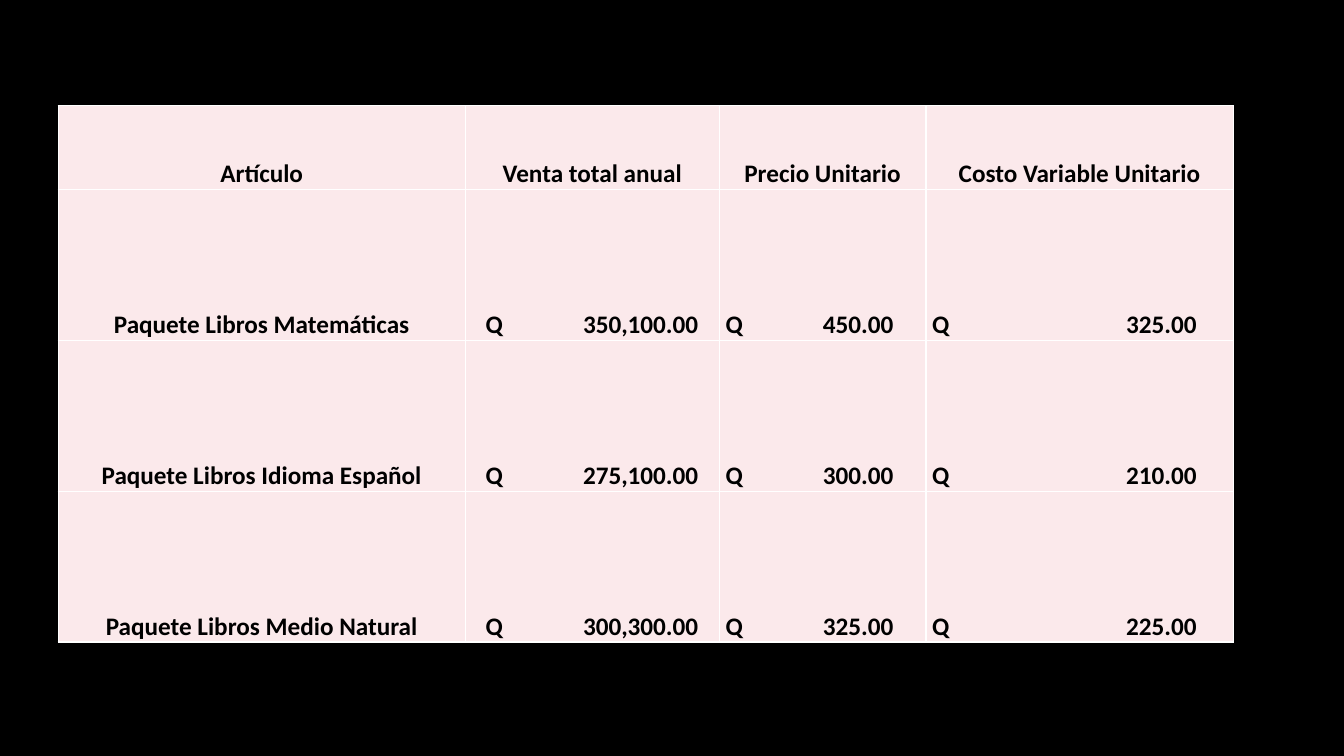
"""Build a slide with a price and cost table for three book packages."""
from lxml.etree import SubElement
from pptx import Presentation
from pptx.dml.color import RGBColor
from pptx.enum.text import MSO_ANCHOR as Anchor, PP_ALIGN as Align
from pptx.oxml.ns import qn
from pptx.util import Pt

BLACK = RGBColor(0x00, 0x00, 0x00)
WHITE = RGBColor(0xFF, 0xFF, 0xFF)
PINK = RGBColor(0xFB, 0xE9, 0xEB)

HEADINGS = ["Artículo", "Venta total anual", "Precio Unitario", "Costo Variable Unitario"]
PACKAGES = [
    ("Paquete Libros Matemáticas", 350100, 450, 325),
    ("Paquete Libros Idioma Español", 275100, 300, 210),
    ("Paquete Libros Medio Natural", 300300, 325, 225),
]
COLUMN_WIDTHS = [290.9, 181.4, 147.6, 219.6]
HEADING_HEIGHT, PACKAGE_HEIGHT = 59.8, 107.8
INSET = 0.72
AMOUNT_INDENTS = [14.5, 4.5, 4.5]
AMOUNT_TABS = [152, 120, 189]


class Slide:
    """Hold the text style and the current slide."""

    def __init__(self, deck, font="Calibri", size=18):
        self.font, self.size = font, size
        self.slide = deck.slides.add_slide(deck.slide_layouts[6])
        background = self.slide.background.fill
        background.solid()
        background.fore_color.rgb = BLACK

    def table(self, left, top, widths, heights):
        frame = self.slide.shapes.add_table(
            len(heights), len(widths), Pt(left), Pt(top), Pt(sum(widths)), Pt(sum(heights)))
        for column, width in zip(frame.table.columns, widths):
            column.width = Pt(width)
        for row, height in zip(frame.table.rows, heights):
            row.height = Pt(height)
        return frame.table

    def borders(self, cell):
        properties = cell._tc.get_or_add_tcPr()
        for position, side in enumerate(("lnL", "lnR", "lnT", "lnB")):
            line = properties.makeelement(qn(f"a:{side}"), {"w": str(Pt(1))})
            SubElement(SubElement(line, qn("a:solidFill")), qn("a:srgbClr"), val=str(WHITE))
            properties.insert(position, line)

    def cell(self, cell, text, indent=INSET, tab=None):
        cell.fill.solid()
        cell.fill.fore_color.rgb = PINK
        self.borders(cell)
        cell.vertical_anchor = Anchor.BOTTOM
        cell.margin_left = Pt(indent)
        cell.margin_top = cell.margin_right = Pt(INSET)
        cell.margin_bottom = 0
        cell.text_frame.text = text
        paragraph = cell.text_frame.paragraphs[0]
        paragraph.alignment = Align.LEFT if tab else Align.CENTER
        if tab:
            stops = SubElement(paragraph._p.get_or_add_pPr(), qn("a:tabLst"))
            SubElement(stops, qn("a:tab"), pos=str(Pt(tab)), algn="r")
        for run in paragraph.runs:
            run.font.name, run.font.size = self.font, Pt(self.size)
            run.font.bold = True
            run.font.color.rgb = BLACK


def main():
    deck = Presentation()
    deck.slide_width, deck.slide_height = Pt(960), Pt(540)
    slide = Slide(deck)
    heights = [HEADING_HEIGHT] + [PACKAGE_HEIGHT] * len(PACKAGES)
    prices = slide.table(41.5, 75.5, COLUMN_WIDTHS, heights)
    for column, heading in enumerate(HEADINGS):
        slide.cell(prices.cell(0, column), heading)
    for row, (package, *amounts) in enumerate(PACKAGES, 1):
        slide.cell(prices.cell(row, 0), package)
        for column, (amount, indent, tab) in enumerate(zip(amounts, AMOUNT_INDENTS, AMOUNT_TABS), 1):
            slide.cell(prices.cell(row, column), f"Q\t{amount:,.2f}", indent, tab)
    deck.save("out.pptx")


if __name__ == "__main__":
    main()
